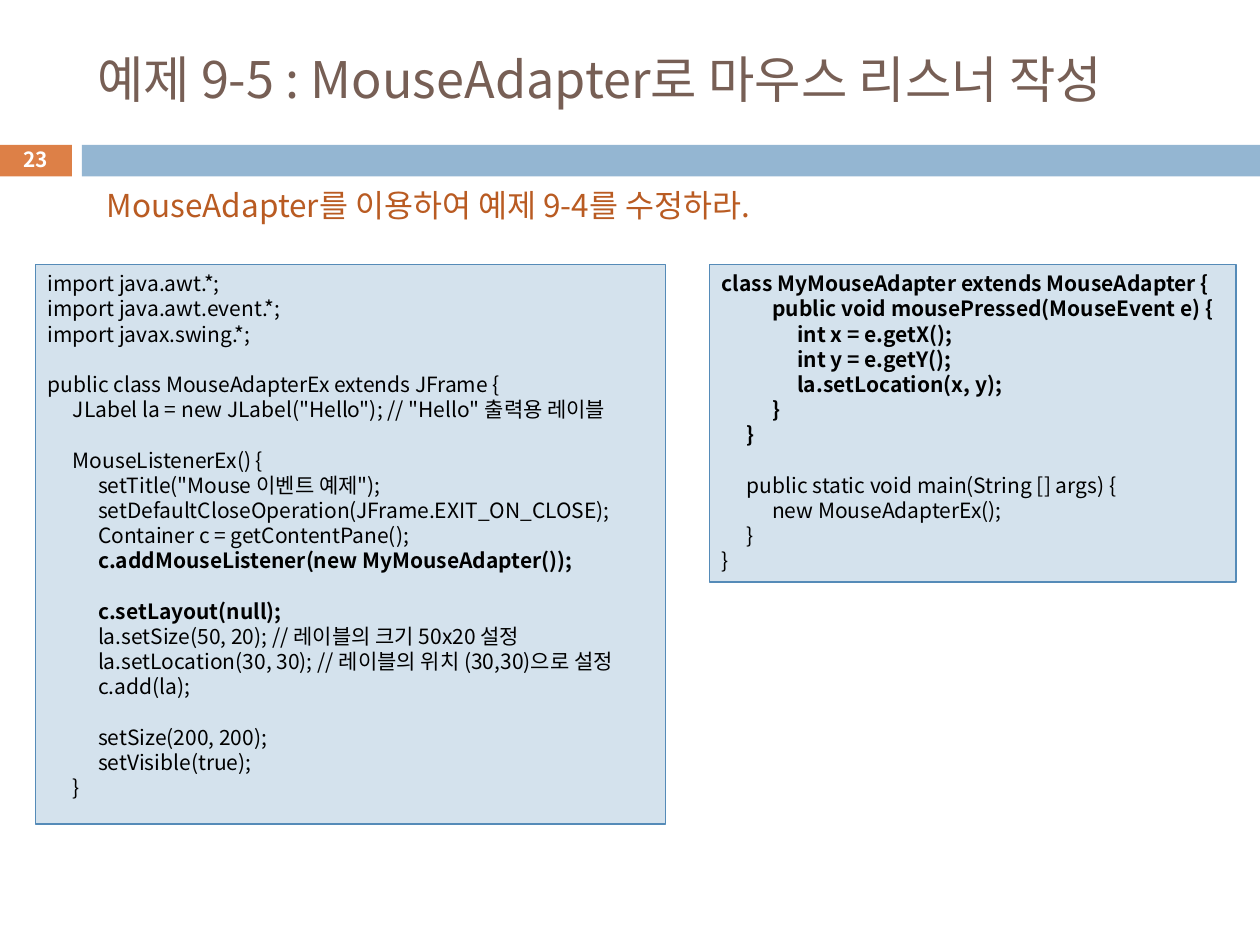
from lxml.etree import SubElement
from pptx import Presentation
from pptx.dml.color import RGBColor
from pptx.enum.shapes import MSO_SHAPE
from pptx.enum.text import MSO_ANCHOR, MSO_AUTO_SIZE, PP_ALIGN
from pptx.oxml.ns import qn
from pptx.util import Inches, Pt

FONT = "Noto Sans CJK KR"
TAB_WIDTH = 0.2
TAB_COUNT = 3

LISTENER_CODE = """import java.awt.*;
import java.awt.event.*;
import javax.swing.*;

public class MouseAdapterEx extends JFrame {
\tJLabel la = new JLabel("Hello"); // "Hello" 출력용 레이블

\tMouseListenerEx() {
\t\tsetTitle("Mouse 이벤트 예제");
\t\tsetDefaultCloseOperation(JFrame.EXIT_ON_CLOSE);
\t\tContainer c = getContentPane();
\t\tc.addMouseListener(new MyMouseAdapter());

\t\tc.setLayout(null);
\t\tla.setSize(50, 20); // 레이블의 크기 50x20 설정
\t\tla.setLocation(30, 30); // 레이블의 위치 (30,30)으로 설정
\t\tc.add(la);

\t\tsetSize(200, 200);
\t\tsetVisible(true);
\t}"""

ADAPTER_CODE = """class MyMouseAdapter extends MouseAdapter {
\t\tpublic void mousePressed(MouseEvent e) {
\t\t\tint x = e.getX();
\t\t\tint y = e.getY();
\t\t\tla.setLocation(x, y);
\t\t}
\t}

\tpublic static void main(String [] args) {
\t\tnew MouseAdapterEx();
\t}
}"""


def color(value):
    return RGBColor.from_string(value)


class SlideBuilder:
    def __init__(self, slide):
        self.slide = slide

    def format_text(self, text_frame, size, text_color, bold_lines=()):
        text_frame.word_wrap = True
        text_frame.auto_size = MSO_AUTO_SIZE.NONE
        for index, paragraph in enumerate(text_frame.paragraphs):
            for run in paragraph.runs:
                run.font.size = Pt(size)
                run.font.bold = index in bold_lines
                run.font.color.rgb = color(text_color)
                run.font.name = FONT
                SubElement(run.font._element, qn("a:ea"), typeface=FONT)

    def title(self, text, left, top, width, height):
        shape = self.slide.shapes.title
        shape.left, shape.top = Inches(left), Inches(top)
        shape.width, shape.height = Inches(width), Inches(height)
        text_frame = shape.text_frame
        text_frame.text = text
        text_frame.vertical_anchor = MSO_ANCHOR.MIDDLE
        text_frame.paragraphs[0].alignment = PP_ALIGN.LEFT
        self.format_text(text_frame, 28.8, "775F55")

    def rectangle(self, left, top, width, height, fill, line=None):
        shape = self.slide.shapes.add_shape(
            MSO_SHAPE.RECTANGLE, Inches(left), Inches(top), Inches(width), Inches(height))
        shape.shadow.inherit = False
        shape.fill.solid()
        shape.fill.fore_color.rgb = color(fill)
        if line:
            shape.line.color.rgb = color(line)
            shape.line.width = Pt(0.75)
        else:
            shape.line.fill.background()
        return shape

    def text(self, text, left, top, width, height, size, text_color,
             bold=False, alignment=PP_ALIGN.LEFT, anchor=MSO_ANCHOR.TOP):
        shape = self.slide.shapes.add_textbox(
            Inches(left), Inches(top), Inches(width), Inches(height))
        text_frame = shape.text_frame
        text_frame.text = text
        text_frame.vertical_anchor = anchor
        text_frame.paragraphs[0].alignment = alignment
        self.format_text(text_frame, size, text_color, [0] if bold else [])

    def code(self, text, left, top, width, height, bold_lines):
        shape = self.rectangle(left, top, width, height, "D4E2ED", "558BB8")
        text_frame = shape.text_frame
        text_frame.text = text
        text_frame.vertical_anchor = MSO_ANCHOR.TOP
        for paragraph in text_frame.paragraphs:
            paragraph.alignment = PP_ALIGN.LEFT
            paragraph.line_spacing = Pt(14.4)
            properties = paragraph._p.get_or_add_pPr()
            tab_list = SubElement(properties, qn("a:tabLst"))
            for number in range(1, TAB_COUNT + 1):
                position = Inches(TAB_WIDTH * number)
                SubElement(tab_list, qn("a:tab"), pos=str(int(position)), algn="l")
        self.format_text(text_frame, 12, "000000", bold_lines)


def main():
    presentation = Presentation()
    presentation.slide_width = Inches(10)
    presentation.slide_height = Inches(7.5)
    builder = SlideBuilder(presentation.slides.add_slide(presentation.slide_layouts[5]))

    builder.rectangle(-0.01, 1.15, 0.58, 0.25, "DD8047")
    builder.rectangle(0.65, 1.15, 9.35, 0.25, "94B6D2")
    builder.title("예제 9-5 : MouseAdapter로 마우스 리스너 작성", 0.67, 0.25, 8.92, 0.74)
    builder.text("23", -0.01, 1.13, 0.58, 0.27, 11.9, "FFFFFF", bold=True,
                 alignment=PP_ALIGN.CENTER, anchor=MSO_ANCHOR.MIDDLE)
    builder.code(ADAPTER_CODE, 5.63, 2.1, 4.18, 2.52, bold_lines=range(7))
    builder.text("MouseAdapter를 이용하여 예제 9-4를 수정하라.",
                 0.75, 1.43, 6.2, 0.4, 18, "B95B22")
    builder.code(LISTENER_CODE, 0.28, 2.1, 5, 4.44, bold_lines=(11, 13))

    presentation.save("out.pptx")


if __name__ == "__main__":
    main()
